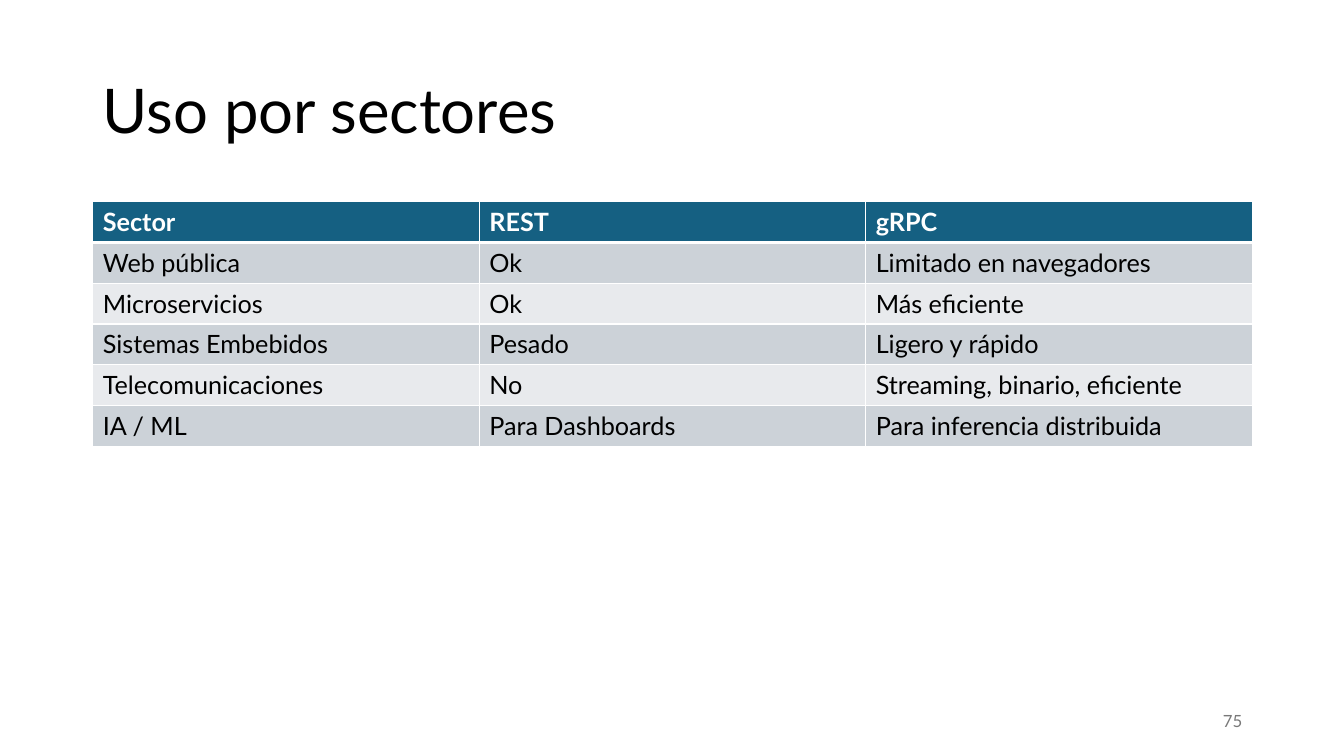
import pptx
import pptx.dml.color
import pptx.enum.text
import pptx.oxml
import pptx.oxml.ns
import pptx.util
from pptx.util import Inches

FONT = "Lato"
WHITE, BLACK, GREY = "FFFFFF", "000000", "797979"
HEADER_FILL = "156082"
BAND_FILLS = ("CCD2D8", "E8EAED")
LEFT, WIDTH = 0.92, 11.5
ROW_HEIGHT = 0.405

SECTORS = [
    ("Sector", "REST", "gRPC"),
    ("Web pública", "Ok", "Limitado en navegadores"),
    ("Microservicios", "Ok", "Más eficiente"),
    ("Sistemas Embebidos", "Pesado", "Ligero y rápido"),
    ("Telecomunicaciones", "No", "Streaming, binario, eficiente"),
    ("IA / ML", "Para Dashboards", "Para inferencia distribuida"),
]


def color(hex_string):
    return pptx.dml.color.RGBColor.from_string(hex_string)


def add_run(paragraph, text, size, hex_color, bold=False):
    run = paragraph.add_run()
    run.text = text
    run.font.name = FONT
    run.font.size = pptx.util.Pt(size)
    run.font.bold = bold
    run.font.color.rgb = color(hex_color)


def set_borders(cell, top, bottom):
    """Draw white cell borders; top and bottom are widths in points."""
    properties = cell._tc.get_or_add_tcPr()
    for side, width in (("L", 1), ("R", 1), ("T", top), ("B", bottom)):
        properties.append(pptx.oxml.parse_xml(
            f'<a:ln{side} {pptx.oxml.ns.nsdecls("a")} w="{pptx.util.Pt(width)}">'
            f'<a:solidFill><a:srgbClr val="{WHITE}"/></a:solidFill></a:ln{side}>'))


def add_title(slide, text):
    title = slide.shapes.title
    title.left, title.top = Inches(LEFT), Inches(0.4)
    title.width, title.height = Inches(WIDTH), Inches(1.45)
    title.text_frame.vertical_anchor = pptx.enum.text.MSO_ANCHOR.MIDDLE
    paragraph = title.text_frame.paragraphs[0]
    paragraph.alignment = pptx.enum.text.PP_ALIGN.LEFT
    paragraph.line_spacing = 0.9
    add_run(paragraph, text, 44, BLACK)


def add_sector_table(slide, rows):
    """Add a table with a header row and alternating row fills."""
    table = slide.shapes.add_table(
        len(rows), len(rows[0]), Inches(LEFT), Inches(2),
        Inches(WIDTH), Inches(ROW_HEIGHT * len(rows))).table
    for row_index, texts in enumerate(rows):
        header = row_index == 0
        fill = HEADER_FILL if header else BAND_FILLS[(row_index - 1) % 2]
        for column_index, text in enumerate(texts):
            cell = table.cell(row_index, column_index)
            set_borders(cell, top=3 if row_index == 1 else 1, bottom=3 if header else 1)
            cell.fill.solid()
            cell.fill.fore_color.rgb = color(fill)
            add_run(cell.text_frame.paragraphs[0], text, 18,
                    WHITE if header else BLACK, bold=header)


def add_page_number(slide, text):
    box = slide.shapes.add_textbox(Inches(9.42), Inches(6.95), Inches(3), Inches(0.4))
    box.text_frame.word_wrap = True
    box.text_frame.vertical_anchor = pptx.enum.text.MSO_ANCHOR.MIDDLE
    paragraph = box.text_frame.paragraphs[0]
    paragraph.alignment = pptx.enum.text.PP_ALIGN.RIGHT
    add_run(paragraph, text, 12, GREY)


def main():
    presentation = pptx.Presentation()
    presentation.slide_width, presentation.slide_height = Inches(13.33), Inches(7.5)
    title_only = presentation.slide_layouts.get_by_name("Title Only")
    slide = presentation.slides.add_slide(title_only)
    add_title(slide, "Uso por sectores")
    add_sector_table(slide, SECTORS)
    add_page_number(slide, "75")
    presentation.save("out.pptx")


if __name__ == "__main__":
    main()
